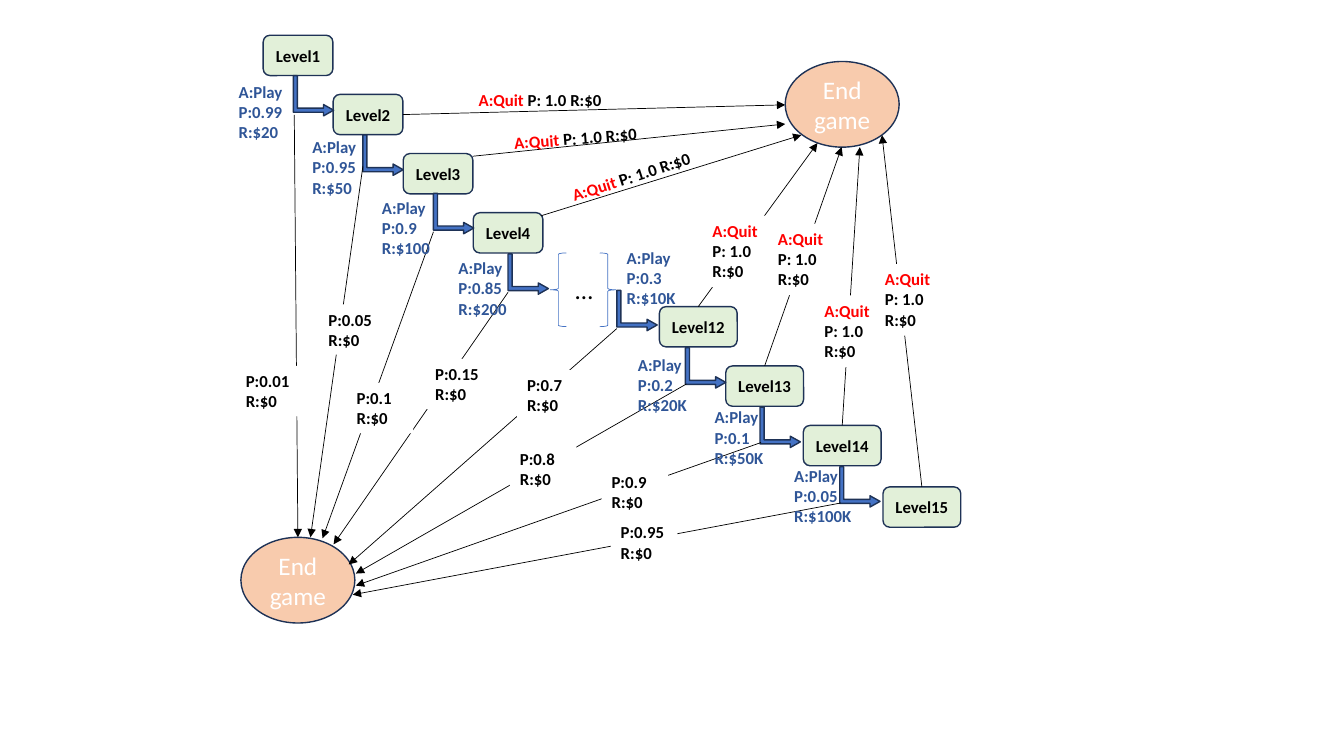
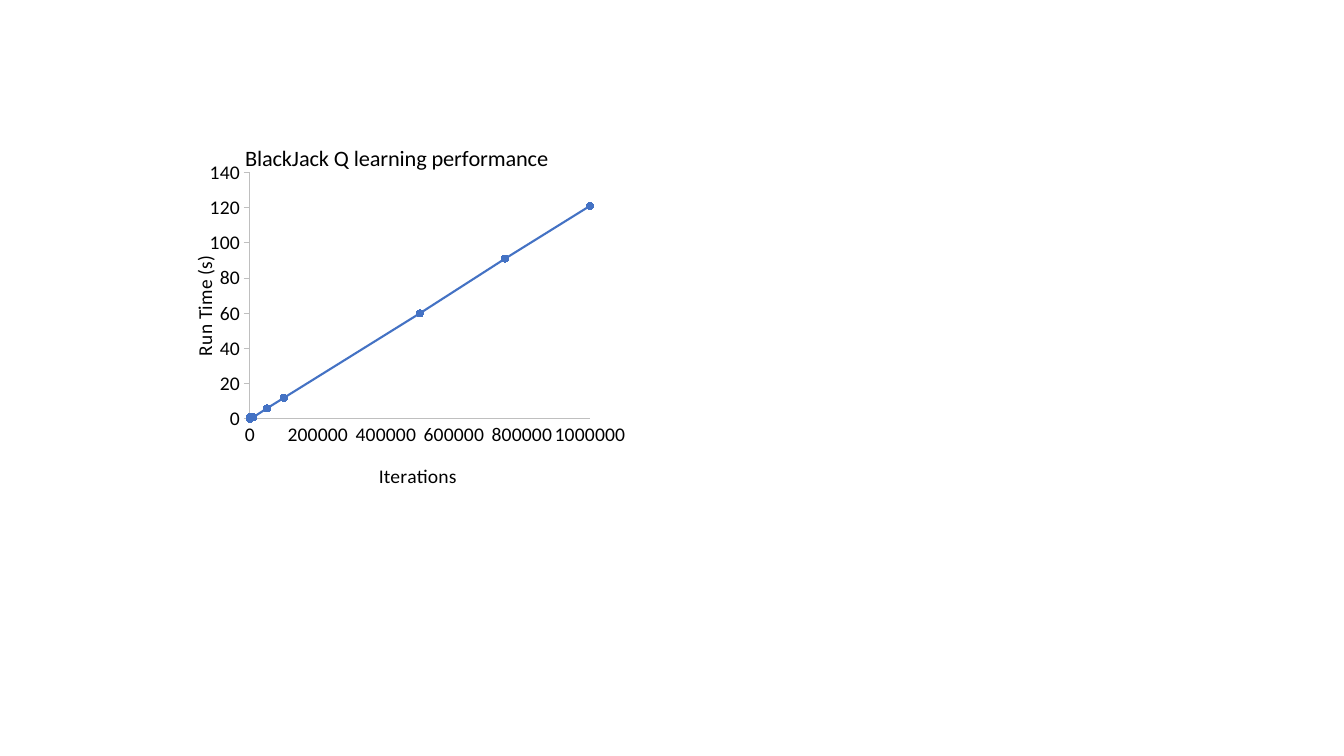
"""Builds a game decision diagram and a learning run-time chart."""
from lxml.etree import SubElement
from pptx import Presentation
from pptx.chart.data import XyChartData
from pptx.dml.color import RGBColor
from pptx.enum.chart import XL_CHART_TYPE, XL_MARKER_STYLE, XL_TICK_MARK
from pptx.enum.shapes import MSO_CONNECTOR, MSO_SHAPE
from pptx.enum.text import MSO_ANCHOR, PP_ALIGN
from pptx.oxml.ns import qn
from pptx.util import Pt

BLACK = RGBColor(0x00, 0x00, 0x00)
WHITE = RGBColor(0xFF, 0xFF, 0xFF)
RED = RGBColor(0xFF, 0x00, 0x00)
BLUE = RGBColor(0x44, 0x72, 0xC4)
DARK_BLUE = RGBColor(0x2F, 0x55, 0x97)
NAVY = RGBColor(0x1E, 0x32, 0x56)
GREEN = RGBColor(0xE2, 0xF0, 0xD9)
PEACH = RGBColor(0xF8, 0xCB, 0xAD)
GRAY = RGBColor(0xBF, 0xBF, 0xBF)

SMALL_BOLD = {"name": "Calibri", "size": Pt(12), "bold": True}
LARGE = {"name": "Calibri", "size": Pt(18), "bold": False}
CHART_FONT = {"name": "Calibri", "size": Pt(14), "bold": False}
CHART_TITLE_FONT = CHART_FONT | {"size": Pt(16)}
CENTERED = (PP_ALIGN.CENTER, MSO_ANCHOR.MIDDLE)
TOP_LEFT = (PP_ALIGN.LEFT, MSO_ANCHOR.TOP)
QUIT = [[("A:Quit ", RED), ("P: 1.0 R:$0", BLACK)]]

presentation = Presentation()
presentation.slide_width = Pt(960)
presentation.slide_height = Pt(540)
blank = presentation.slide_layouts[6]
slide = presentation.slides.add_slide(blank)


def add_block(kind, bounds, fill=None, outline=None, width=1):
    """Add a preset shape, or a text box when kind is None."""
    box = [Pt(value) for value in bounds]
    shapes = slide.shapes
    shape = shapes.add_shape(kind, *box) if kind else shapes.add_textbox(*box)
    if kind:
        shape.shadow.inherit = False
    if fill:
        shape.fill.solid()
        shape.fill.fore_color.rgb = fill
    else:
        shape.fill.background()
    if outline:
        shape.line.color.rgb = outline
        shape.line.width = Pt(width)
    return shape


def write(shape, paragraphs, font_format, placement):
    """Fill a shape with paragraphs made of (text, colour) runs."""
    alignment, anchor = placement
    frame = shape.text_frame
    frame.word_wrap = True
    frame.vertical_anchor = anchor
    for index, runs in enumerate(paragraphs):
        paragraph = frame.add_paragraph() if index else frame.paragraphs[0]
        paragraph.alignment = alignment
        for text, color in runs:
            run = paragraph.add_run()
            run.text = text
            run.font.color.rgb = color
            for name, value in font_format.items():
                setattr(run.font, name, value)


level_places = [(number, 188 + 50 * index, 25.2 + 42.25 * index, 49.8)
                for index, number in enumerate(range(1, 5))]
level_places += [(12, 471, 219, 55.6), (13, 518.4, 261.4, 55.6),
                 (14, 573.8, 303.9, 55.6), (15, 630.7, 347.8, 55.6)]
levels = {}
for number, left, top, width in level_places:
    levels[number] = add_block(MSO_SHAPE.ROUNDED_RECTANGLE, (left, top, width, 28.8), GREEN, NAVY)
    write(levels[number], [[(f"Level{number}", BLACK)]], SMALL_BOLD, CENTERED)

ends = []
for left, top in [(172.1, 383.8), (560.9, 43.9)]:
    end = add_block(MSO_SHAPE.OVAL, (left, top, 81.4, 61.2), PEACH, NAVY)
    write(end, [[("End game", WHITE)]], LARGE, CENTERED)
    ends.append(end)
loss_end, quit_end = ends

for left, rotation in [(393.1, 0), (428.4, 180)]:
    brace = add_block(MSO_SHAPE.LEFT_BRACE, (left, 180.7, 11.5, 52.6), None, BLUE, 0.5)
    brace.rotation = rotation
dots = add_block(None, (403.9, 192.2, 21.6, 28.8))
write(dots, [[("…", BLACK)]], LARGE, TOP_LEFT)

# arrow place, play text, play label place, loss line start and end, loss text, loss label place
moves = [
    ((209.5, 54), "0.99", "$20", (163.4, 54.7, 47.5), (210.2, 82), None, "0.01", (168.5, 261.4)),
    ((259.2, 96.5), "0.95", "$50", (216, 94.3, 47.5), (259.2, 118.8), (221.8, 383.8), "0.05", (227.5, 217.4)),
    ((309.6, 138.2), "0.9", "$100", (265.7, 137.5, 54), (309.6, 165.6), (230.4, 384.5), "0.1", (247.7, 273.6)),
    ((362.9, 181.4), "0.85", "$200", (320.4, 180.7, 54), (362.9, 208.8), (238.3, 388.8), "0.15", (303.8, 256.3)),
    ((440.6, 207.4), "0.3", "$10K", (440.6, 173.5, 54), (440.6, 234.7), (249.1, 403.2), "0.7", (369.4, 264.2)),
    ((489.6, 248.4), "0.2", "$20K", (448.6, 249.8, 54), (490.3, 274.3), (254.2, 409.7), "0.8", (364.3, 316.8)),
    ((542.9, 290.9), "0.1", "$50K", (503.3, 287.3, 54), (543.6, 316.1), (254.2, 418.3), "0.9", (429.8, 333.4)),
    ((599.8, 333.4), "0.05", "$100K", (560.2, 329, 57.6), (600.5, 359.3), (252, 424.8), "0.95", (436.3, 369.4)),
]
for move in moves:
    arrow = add_block(MSO_SHAPE.BENT_UP_ARROW, (*move[0], 28.8, 28.8), BLUE, NAVY)
    arrow.rotation = 90
    for index, value in enumerate((0.1, 0.14, 0.25)):
        arrow.adjustments[index] = value

quit_lines = [
    ((288, 82), (560.9, 74.9), levels[2], 3),
    ((337.7, 111.6), (560.9, 88.6), None, 0),
    ((386.6, 154.1), (572.4, 96.5), None, 0),
    ((499, 218.9), (583.9, 102.2), levels[12], 0),
    ((546, 261.4), (601.2, 105.1), levels[13], 0),
    ((601.2, 303.8), (614.2, 105.1), levels[14], 0),
    ((657.4, 347.8), (630, 96.5), levels[15], 0),
]
loss_lines = [(move[4], move[5], None, 0) for move in moves]
for start, finish, source, site in loss_lines + quit_lines:
    points = [Pt(value) for value in (*start, *(finish or (212, 383.8)))]
    connector = slide.shapes.add_connector(MSO_CONNECTOR.STRAIGHT, *points)
    if source:
        connector.begin_connect(source, site)
    if finish is None:
        connector.end_connect(loss_end, 0)
    connector.line.color.rgb = BLACK
    connector.line.width = Pt(0.5)
    properties = connector.element.spPr
    SubElement(properties.find(qn("a:ln")), qn("a:tailEnd"), type="triangle")
    SubElement(properties, qn("a:effectLst"))

for _, chance, reward, (left, top, width), _, _, loss, loss_place in moves:
    label = add_block(None, (*loss_place, 47.5, 36), WHITE)
    write(label, [[(f"P:{loss}", BLACK)], [("R:$0", BLACK)]], SMALL_BOLD, TOP_LEFT)
    label = add_block(None, (left, top, width, 51.1))
    play = [[(f"A:Play P:{chance}", DARK_BLUE)], [(f"R:{reward}", DARK_BLUE)]]
    write(label, play, SMALL_BOLD, TOP_LEFT)

quit_labels = [
    (334.8, 60.5, 108, 21.6, 0, None), (360, 87.8, 108, 21.6, 355.5, None),
    (399.6, 114.5, 108, 21.6, 342.1, None), (501.8, 154.1, 54, 51.1, 0, WHITE),
    (548.6, 159.8, 50.4, 51.1, 0, WHITE), (581.8, 211, 50.4, 51.1, 0, WHITE),
    (625, 188.6, 50.4, 51.1, 0, WHITE),
]
for *bounds, rotation, fill in quit_labels:
    label = add_block(None, bounds, fill)
    label.rotation = rotation
    write(label, QUIT, SMALL_BOLD, TOP_LEFT)

slide = presentation.slides.add_slide(blank)
data = XyChartData()
series_data = data.add_series("Series 1")
iterations = (0, 0, 10000, 50000, 100000, 500000, 750000, 1000000)
run_times = (0, 1, 1, 6, 12, 60, 91, 121)
for iteration, run_time in zip(iterations, run_times):
    series_data.add_data_point(iteration, run_time)
chart_bounds = [Pt(value) for value in (127.4, 86.4, 319.7, 267.1)]
chart = slide.shapes.add_chart(XL_CHART_TYPE.XY_SCATTER_SMOOTH, *chart_bounds, data).chart
chart.has_legend = False
chart.font.color.rgb = BLACK
for name, value in CHART_FONT.items():
    setattr(chart.font, name, value)

plot = chart.plots[0]
plot.vary_by_categories = False
series = plot.series[0]
series.smooth = True
series.format.line.color.rgb = BLUE
series.format.line.width = Pt(1.5)
series.marker.style = XL_MARKER_STYLE.CIRCLE
series.marker.size = 5
series.marker.format.fill.solid()
series.marker.format.fill.fore_color.rgb = BLUE
series.marker.format.line.color.rgb = BLUE

axis_formats = [
    (chart.category_axis, {"maximum_scale": 1000000, "major_unit": 200000,
                           "major_tick_mark": XL_TICK_MARK.NONE}),
    (chart.value_axis, {"maximum_scale": 140, "major_unit": 20,
                        "major_tick_mark": XL_TICK_MARK.OUTSIDE}),
]
for axis, axis_format in axis_formats:
    shared = {"minimum_scale": 0, "has_major_gridlines": False, "minor_tick_mark": XL_TICK_MARK.NONE}
    for name, value in (shared | axis_format).items():
        setattr(axis, name, value)
    axis.tick_labels.number_format = "General"
    axis.tick_labels.number_format_is_linked = False
    axis.format.line.color.rgb = GRAY
    axis.format.line.width = Pt(0.75)

chart.has_title = True
titles = [
    (chart.chart_title, "BlackJack Q learning performance", CHART_TITLE_FONT, 0.14, 0.05),
    (chart.category_axis.axis_title, "Iterations", CHART_FONT, 0.44, 0.92),
    (chart.value_axis.axis_title, "Run Time (s)", CHART_FONT, 0.02, 0.36),
]
layouts = [(chart.element.find(".//" + qn("c:plotArea")), 0,
            {"layoutTarget": "inner", "xMode": "edge", "yMode": "edge",
             "x": 0.16, "y": 0.14, "w": 0.76, "h": 0.67})]
for title, text, font_format, x, y in titles:
    title.text_frame.text = text
    font = title.text_frame.paragraphs[0].runs[0].font
    font.color.rgb = BLACK
    for name, value in font_format.items():
        setattr(font, name, value)
    layouts.append((title.element, 1, {"xMode": "edge", "yMode": "edge", "x": x, "y": y}))
chart.value_axis.axis_title.element.find(".//" + qn("a:bodyPr")).set("rot", "-5400000")

for element, position, values in layouts:
    for old_layout in element.findall(qn("c:layout")):
        element.remove(old_layout)
    layout = SubElement(element, qn("c:layout"))
    element.insert(position, layout)
    manual = SubElement(layout, qn("c:manualLayout"))
    for name, value in values.items():
        SubElement(manual, qn(f"c:{name}"), val=str(value))

presentation.save("out.pptx")
